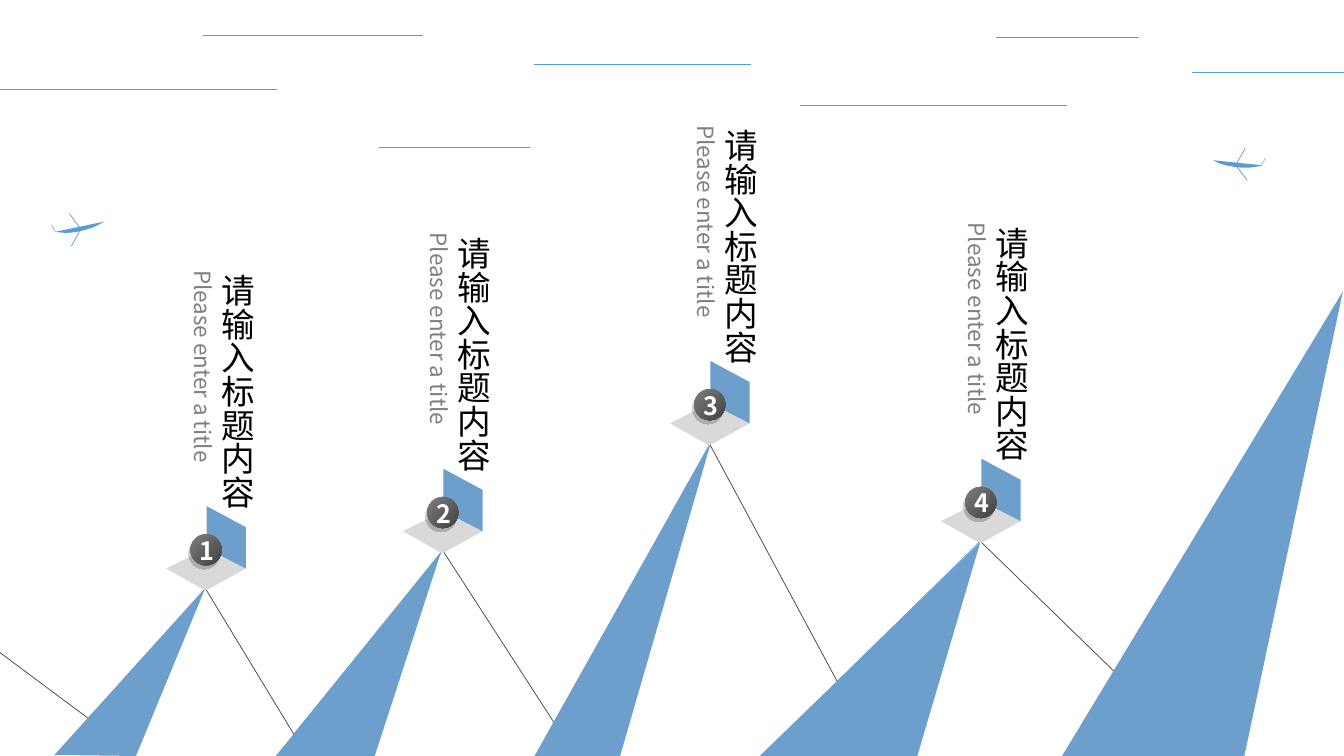
from dataclasses import dataclass

from lxml.etree import SubElement
from pptx import Presentation
from pptx.dml.color import RGBColor
from pptx.enum.shapes import MSO_CONNECTOR as Connector, MSO_SHAPE as Preset
from pptx.enum.text import MSO_AUTO_SIZE as AutoSize, PP_ALIGN as Align
from pptx.oxml.ns import qn
from pptx.util import Inches, Pt


@dataclass(frozen=True)
class Theme:
    font: str = "Noto Sans CJK SC"
    mountain: str = "6D9FCC"
    sky: str = "5B9BD5"
    slope: str = "404040"
    tile: str = "D9D9D9"
    ball_light: str = "808080"
    ball_dark: str = "404040"
    shadow: str = "000000"
    title: str = "000000"
    subtitle: str = "7F7F7F"
    number: str = "FFFFFF"
    title_size: float = 24
    subtitle_size: float = 16
    number_size: float = 18
    hairline: float = 0.5
    fine_line: float = 0.31


THEME = Theme()

# Peak of each numbered mountain, where its marker stands
PEAKS = [(2.04, 5.86), (4.39, 5.49), (7.04, 4.42), (9.73, 5.39)]
MOUNTAINS = [
    [(0.54, 7.49), (2.04, 5.83), (1.35, 7.5)],
    [(10.53, 7.52), (13.33, 2.89), (12.35, 7.51)],
    [(2.73, 7.51), (4.38, 5.47), (3.71, 7.53)],
    [(5.3, 7.51), (7.06, 4.38), (6.15, 7.52)],
    [(7.52, 7.52), (9.73, 5.38), (9.1, 7.52)],
]
RIDGES = [
    ((2.92, 7.28), (4.4, 5.46)),
    ((5.5, 7.17), (7.06, 4.38)),
    ((8.31, 6.76), (9.73, 5.37)),
]
SLOPES = [
    ((11.13, 6.73), (9.73, 5.37)),
    ((2.92, 7.29), (2.04, 5.84)),
    ((5.5, 7.17), (4.4, 5.47)),
    ((8.31, 6.76), (7.03, 4.38)),
    ((0.88, 7.13), (-0.02, 6.46)),
]
# Left, right and height of each streak in the sky
STREAKS = [
    (-0.06, 2.75, 0.89), (2.02, 4.2, 0.35), (3.76, 5.26, 1.46), (5.3, 7.45, 0.64),
    (7.94, 10.59, 1.05), (9.89, 11.31, 0.37), (11.83, 13.34, 0.72),
]
# Two wings and a tail, then the two curves of the body
PLANES = [
    ([((12.27, 1.63), (12.36, 1.47)), ((12.26, 1.63), (12.38, 1.79)),
      ((12.52, 1.64), (12.56, 1.57))],
     [[(12.53, 1.64), (12.43, 1.67), (12.32, 1.67), (12.22, 1.65)],
      [(12.22, 1.65), (12.15, 1.64), (12.09, 1.62), (12.04, 1.59)]]),
    ([((0.8, 2.27), (0.69, 2.12)), ((0.81, 2.26), (0.71, 2.44)),
      ((0.55, 2.3), (0.51, 2.23))],
     [[(0.55, 2.3), (0.65, 2.32), (0.75, 2.31), (0.85, 2.28)],
      [(0.85, 2.28), (0.92, 2.26), (0.97, 2.24), (1.03, 2.2)]]),
]


def color(value):
    return RGBColor.from_string(value)


def bezier(points, steps=12):
    """Return points along a cubic curve given by four control points."""
    curve = []
    for step in range(steps + 1):
        t = step / steps
        weights = ((1 - t) ** 3, 3 * t * (1 - t) ** 2, 3 * t * t * (1 - t), t ** 3)
        curve.append(tuple(sum(w * p[axis] for w, p in zip(weights, points))
                           for axis in (0, 1)))
    return curve


def write_text(text_frame, text, *, size, fill, bold=False, align=Align.LEFT):
    paragraph = text_frame.paragraphs[0]
    paragraph.alignment = align
    run = paragraph.add_run()
    run.text = text
    run.font.name = THEME.font
    run.font.size = Pt(size)
    run.font.bold = bold
    run.font.color.rgb = color(fill)
    SubElement(run.font._element, qn("a:ea"), typeface=THEME.font)


class Painter:
    def __init__(self, slide, theme):
        self.slide = slide
        self.theme = theme
        self.shapes = slide.shapes

    def start_group(self):
        self.shapes = self.slide.shapes.add_group_shape().shapes

    def end_group(self):
        self.shapes = self.slide.shapes

    def line(self, start, end, line_color, width=None):
        connector = self.shapes.add_connector(
            Connector.STRAIGHT, *(Inches(value) for value in (*start, *end)))
        connector.line.color.rgb = color(line_color)
        connector.line.width = Pt(width or self.theme.hairline)
        SubElement(connector._element.spPr, qn("a:effectLst"))

    def polygon(self, points, fill):
        corners = [(Inches(x), Inches(y)) for x, y in points]
        builder = self.shapes.build_freeform(*corners[0])
        builder.add_line_segments(corners[1:], close=True)
        shape = builder.convert_to_shape()
        shape.fill.solid()
        shape.fill.fore_color.rgb = color(fill)
        shape.line.fill.background()
        shape.shadow.inherit = False

    def ball(self, left, top, size):
        shape = self.shapes.add_shape(
            Preset.OVAL, Inches(left), Inches(top), Inches(size), Inches(size))
        shape.fill.gradient()
        shape.fill.gradient_angle = 315
        stops = (self.theme.ball_light, self.theme.ball_dark)
        for stop, stop_color in zip(shape.fill.gradient_stops, stops):
            stop.color.rgb = color(stop_color)
        shape.line.fill.background()
        shape.shadow.inherit = False
        effects = shape._element.spPr.find(qn("a:effectLst"))
        shadow = SubElement(effects, qn("a:outerShdw"), blurRad="0",
                            dist=str(Pt(3)), dir=str(116 * 60000), rotWithShape="0")
        shade = SubElement(shadow, qn("a:srgbClr"), val=self.theme.shadow)
        SubElement(shade, qn("a:alpha"), val="20000")

    def text(self, left, top, width, height, text, *, vertical=False, **text_format):
        box = self.shapes.add_textbox(
            Inches(left), Inches(top), Inches(width), Inches(height))
        frame = box.text_frame
        frame.word_wrap = not vertical
        frame.auto_size = AutoSize.SHAPE_TO_FIT_TEXT
        if vertical:
            frame.margin_left = frame.margin_right = Inches(0.05)
            frame.margin_top = frame.margin_bottom = Inches(0.1)
            box._element.txBody.bodyPr.set("vert", "eaVert")
        write_text(frame, text, **text_format)

    def marker(self, x, y, number):
        """Draw the numbered ball on its tile, standing on the peak at x, y."""
        left, right, back = (x - 0.39, y - 0.22), (x + 0.4, y - 0.22), (x + 0.01, y - 0.42)
        self.start_group()
        self.polygon([(x, y), left, back, right], self.theme.tile)
        self.polygon([right, back, (x + 0.01, y - 0.84), (x + 0.4, y - 0.63)],
                     self.theme.mountain)
        self.ball(x - 0.15, y - 0.56, 0.31)
        self.text(x - 0.16, y - 0.6, 0.23, 0.4, str(number), bold=True,
                  size=self.theme.number_size, fill=self.theme.number)
        self.end_group()

    def caption(self, x, y):
        self.text(x - 0.04, y - 3.24, 0.6, 2.44, "请输入标题内容", vertical=True,
                  align=Align.RIGHT, size=self.theme.title_size, fill=self.theme.title)
        self.text(x - 0.3, y - 3.28, 0.46, 2.02, "Please enter a title", vertical=True,
                  align=Align.RIGHT, size=self.theme.subtitle_size,
                  fill=self.theme.subtitle)

    def plane(self, edges, curves):
        widths = (self.theme.hairline, self.theme.hairline, self.theme.fine_line)
        self.start_group()
        for (start, end), width in zip(edges, widths):
            self.line(start, end, self.theme.sky, width)
        rear, front = (bezier(curve) for curve in curves)
        self.polygon(rear + front[1:], self.theme.sky)
        self.end_group()


def main():
    presentation = Presentation()
    presentation.slide_width = Inches(13.34)
    presentation.slide_height = Inches(7.5)
    painter = Painter(presentation.slides.add_slide(presentation.slide_layouts[6]), THEME)

    for start, end in RIDGES:
        painter.line(start, end, THEME.sky)
    for start, end in SLOPES:
        painter.line(start, end, THEME.slope)
    for corners in MOUNTAINS:
        painter.polygon(corners, THEME.mountain)
    for number, (x, y) in enumerate(PEAKS, start=1):
        painter.marker(x, y, number)
        painter.caption(x, y)
    for left, right, y in STREAKS:
        painter.line((left, y), (right, y), THEME.sky)
    for edges, curves in PLANES:
        painter.plane(edges, curves)

    presentation.save("out.pptx")


if __name__ == "__main__":
    main()
